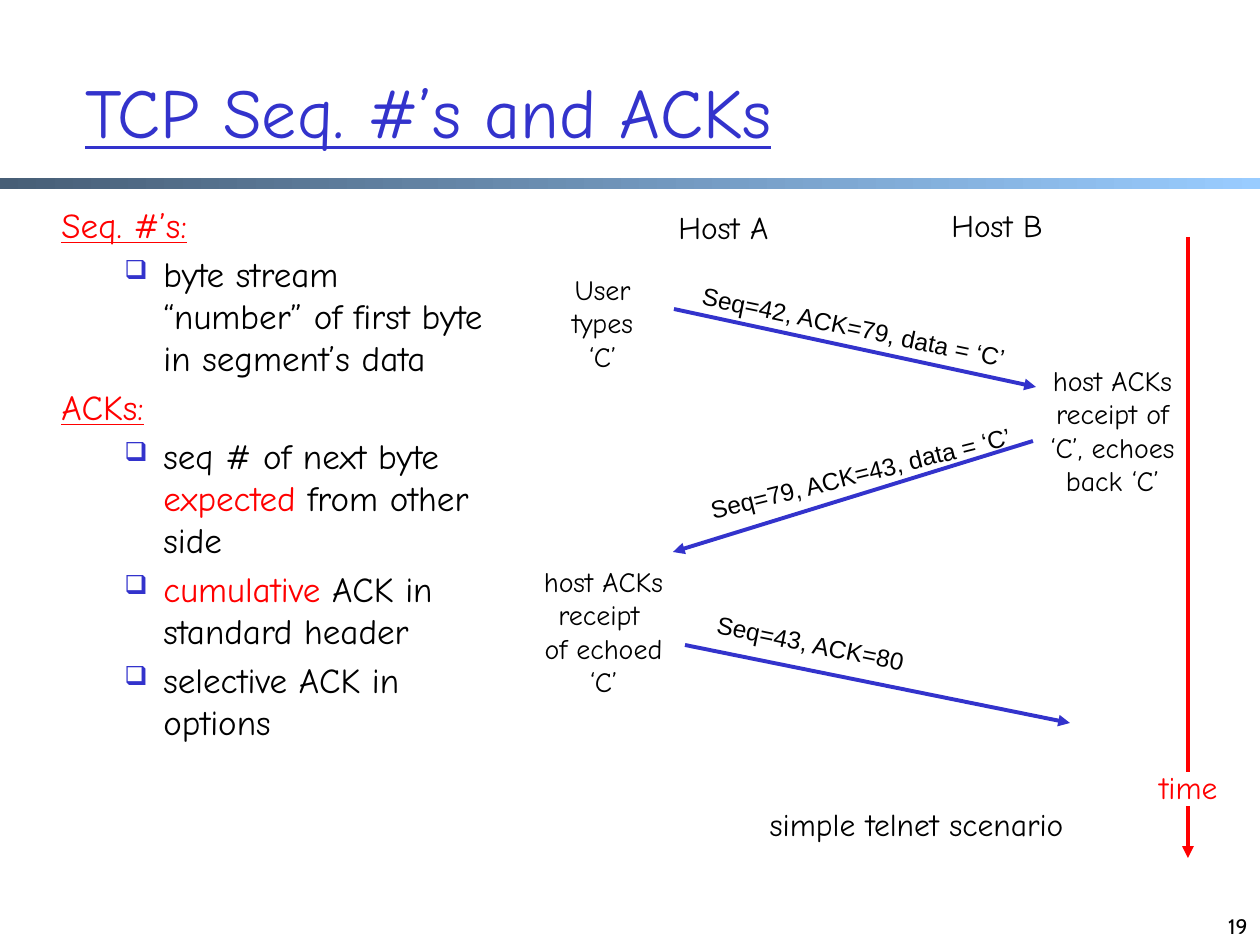
from dataclasses import dataclass

from lxml import etree
from pptx import Presentation
from pptx.dml.color import RGBColor
from pptx.enum.shapes import MSO_CONNECTOR, MSO_SHAPE
from pptx.enum.text import MSO_ANCHOR, PP_ALIGN
from pptx.oxml.ns import qn
from pptx.util import Pt

LEFT, CENTER, RIGHT = PP_ALIGN.LEFT, PP_ALIGN.CENTER, PP_ALIGN.RIGHT
TOP, MIDDLE, BOTTOM = MSO_ANCHOR.TOP, MSO_ANCHOR.MIDDLE, MSO_ANCHOR.BOTTOM
STRAIGHT, RECTANGLE = MSO_CONNECTOR.STRAIGHT, MSO_SHAPE.RECTANGLE
PX = 914400 / 126


@dataclass(frozen=True)
class Theme:
    blue: str = "3333CC"
    red: str = "FF0000"
    black: str = "000000"
    white: str = "FFFFFF"
    bar_start: str = "475E76"
    bar_end: str = "99CCFF"
    hand: str = "Comic Neue"
    plain: str = "Arial"
    number: str = "Cabin"
    title_size: int = 40
    body_size: int = 20
    label_size: int = 18
    note_size: int = 16
    message_size: int = 14
    number_size: int = 12
    line_width: float = 2.25


theme = Theme()
deck = Presentation()
deck.slide_width, deck.slide_height = round(1260 * PX), round(945 * PX)
page = deck.slides.add_slide(deck.slide_layouts[6])


def px(*lengths):
    return [round(length * PX) for length in lengths]


def add_text(place, paragraphs, size, font=theme.hand, align=LEFT,
             anchor=TOP, wrap=False, underline=False):
    """Add a text box; each paragraph is a list of (text, colour) runs."""
    box = page.shapes.add_textbox(*px(*place))
    frame = box.text_frame
    frame.word_wrap = wrap
    frame.vertical_anchor = anchor
    for index, runs in enumerate(paragraphs):
        para = frame.paragraphs[0] if index == 0 else frame.add_paragraph()
        para.alignment = align
        for text, color in runs:
            span = para.add_run()
            span.text = text
            span.font.name = font
            span.font.size = Pt(size)
            span.font.underline = underline
            span.font.color.rgb = RGBColor.from_string(color)
    return box


# Title and the bar under it
bar = page.shapes.add_shape(RECTANGLE, *px(0, 178, 1260, 11))
bar.shadow.inherit = False
bar.line.fill.background()
bar.fill.gradient()
bar.fill.gradient_angle = 0
for stop, position, color in zip(bar.fill.gradient_stops, (0, 1),
                                 (theme.bar_start, theme.bar_end)):
    stop.position = position
    stop.color.rgb = RGBColor.from_string(color)
add_text((73, 32, 1071, 158), [[("TCP Seq. #’s and ACKs", theme.blue)]],
         theme.title_size, anchor=MIDDLE, wrap=True, underline=True)

# Explanation on the left: headings and bulleted points
body = [
    [("Seq. #’s:", theme.red)],
    [("byte stream “number” of first byte in segment’s data", theme.black)],
    [("ACKs:", theme.red)],
    [("seq # of next byte ", theme.black), ("expected", theme.red),
     (" from other side", theme.black)],
    [("cumulative", theme.red), (" ACK in standard header", theme.black)],
    [("selective ACK in options", theme.black)],
]
headings = (0, 2)
body_box = add_text((49, 197, 449, 503), body, theme.body_size, wrap=True)
for index, para in enumerate(body_box.text_frame.paragraphs):
    if index:
        para.space_before = Pt(4)
    if index in headings:
        margin, indent = px(48, -48)
        para.runs[0].font.underline = True
    else:
        margin, indent = px(102, -39)
        para.level = 1
    properties = para._p.get_or_add_pPr()
    properties.set("marL", str(margin))
    properties.set("indent", str(indent))
    if index not in headings:
        bullet_color = etree.SubElement(properties, qn("a:buClr"))
        etree.SubElement(bullet_color, qn("a:srgbClr"), val=theme.blue)
        etree.SubElement(properties, qn("a:buSzPct"), val="75000")
        etree.SubElement(properties, qn("a:buChar"), char="❑")

# Message arrows and the time axis: start, end, colour
arrows = [
    (674, 309, 1036, 387, theme.blue),
    (1033, 441, 673, 552, theme.blue),
    (685, 645, 1070, 723, theme.blue),
    (1188, 237, 1188, 858, theme.red),
]
for *ends, color in arrows:
    arrow = page.shapes.add_connector(STRAIGHT, *px(*ends))
    arrow.line.color.rgb = RGBColor.from_string(color)
    arrow.line.width = Pt(theme.line_width)
    etree.SubElement(arrow.line._get_or_add_ln(), qn("a:tailEnd"), type="triangle")
    etree.SubElement(arrow._element.spPr, qn("a:effectLst"))

messages = [
    ((687, 306, 333, 42), "Seq=42, ACK=79, data = ‘C’", 11.8),
    ((694, 452, 333, 42), "Seq=79, ACK=43, data = ‘C’", -14.1),
    ((702, 622, 217, 43), "Seq=43, ACK=80", 11.4),
]
for place, text, angle in messages:
    message = add_text(place, [[(text, theme.black)]], theme.message_size,
                       font=theme.plain, align=CENTER)
    message.rotation = angle

# What each host does
notes = [
    ((554, 266, 97, 113), ["User", "types", "‘C’"]),
    ((524, 558, 159, 147), ["host ACKs", "receipt ", "of echoed", "‘C’"]),
    ((1033, 357, 159, 147),
     ["host ACKs", "receipt of", "‘C’, echoes", "back ‘C’"]),
]
for place, lines in notes:
    add_text(place, [[(line, theme.black)] for line in lines],
             theme.note_size, align=CENTER)

# Host names, caption, and the time label set into a gap in its axis
gap = page.shapes.add_shape(RECTANGLE, *px(1152, 772, 71, 34))
gap.shadow.inherit = False
gap.fill.solid()
gap.fill.fore_color.rgb = RGBColor.from_string(theme.white)
gap.line.fill.background()
labels = [
    ((659, 202, 129, 50), "Host A", theme.black),
    ((934, 200, 126, 50), "Host B", theme.black),
    ((1143, 762, 91, 50), "time", theme.red),
    ((743, 799, 347, 50), "simple telnet scenario", theme.black),
]
for place, text, color in labels:
    add_text(place, [[(text, color)]], theme.label_size, align=CENTER)

add_text((966, 882, 294, 63), [[("19", theme.black)]], theme.number_size,
         font=theme.number, align=RIGHT, anchor=BOTTOM, wrap=True)

deck.save("out.pptx")
